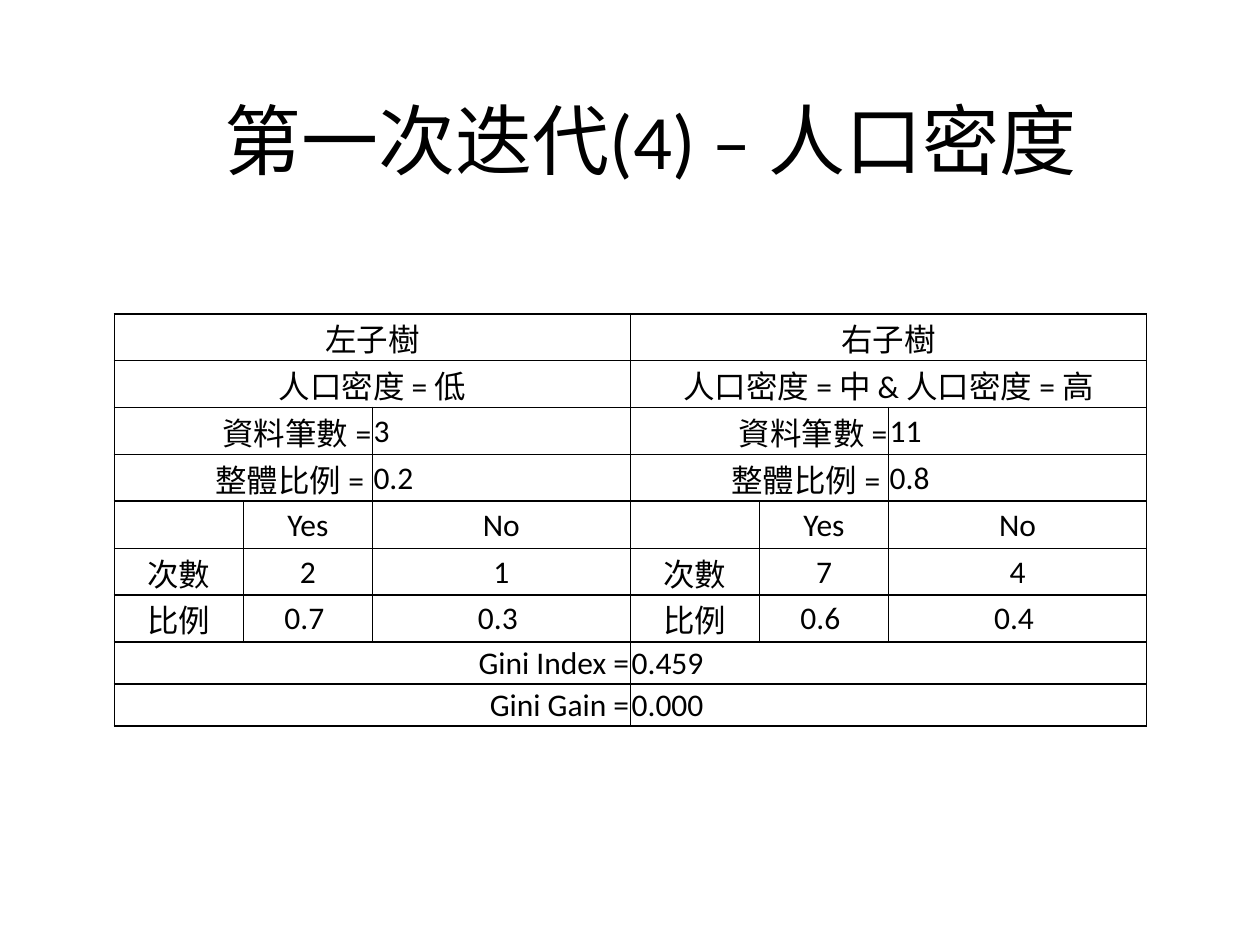
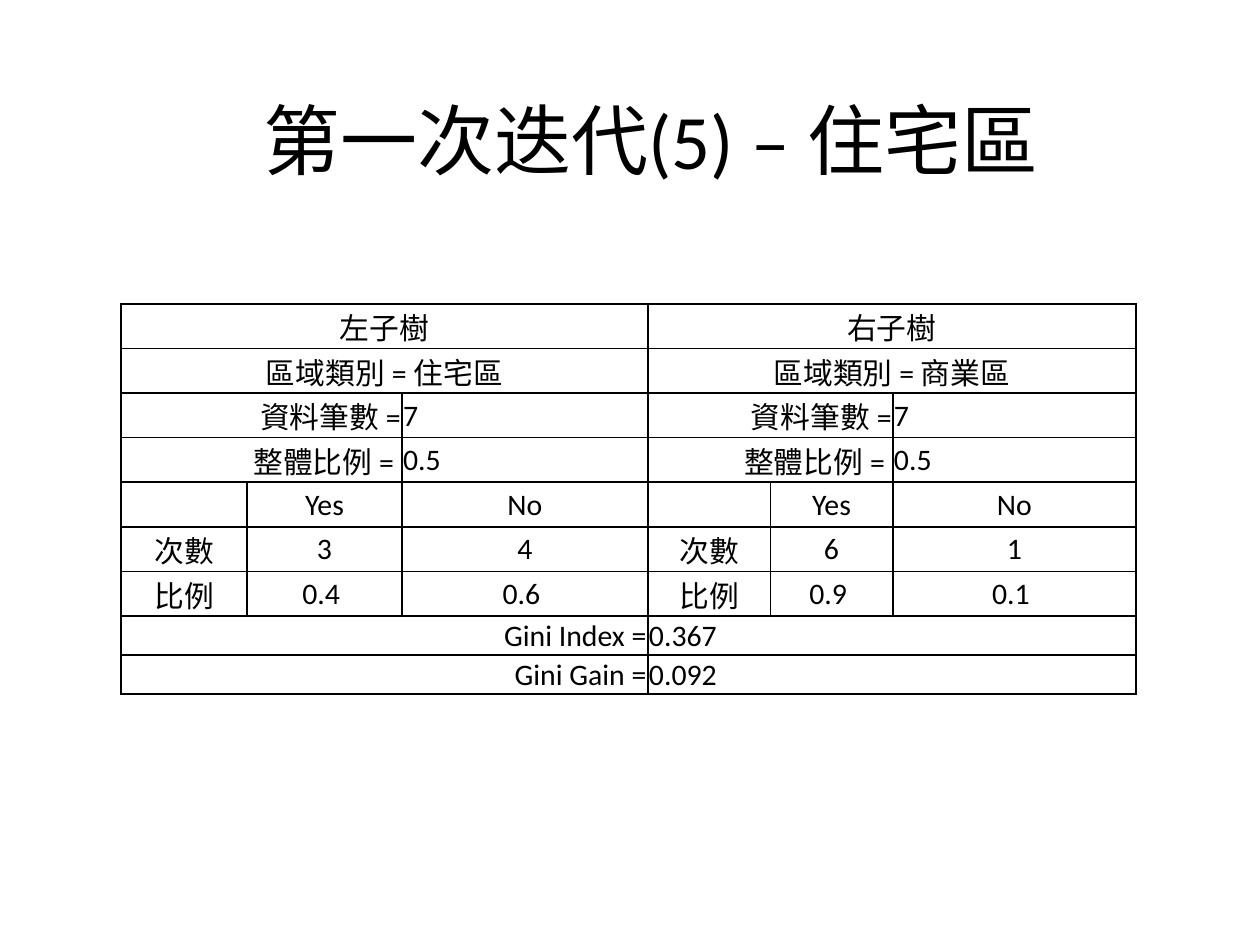
"""Build two slides that tabulate the Gini split of a decision tree."""
from lxml import etree
from pptx import Presentation
from pptx.dml.color import RGBColor
from pptx.enum.text import MSO_ANCHOR, PP_ALIGN
from pptx.oxml.ns import qn
from pptx.util import Pt

LEFT, CENTER, RIGHT = PP_ALIGN.LEFT, PP_ALIGN.CENTER, PP_ALIGN.RIGHT
MIDDLE = MSO_ANCHOR.MIDDLE
BLACK = "000000"
CELL_FORMAT = {"vertical_anchor": MIDDLE, "margin_left": Pt(0.7), "margin_right": Pt(0.7),
               "margin_top": Pt(0.7), "margin_bottom": Pt(0)}


def write(tf, text, size, align):
    """Write one paragraph in the shared font and colour."""
    p = tf.paragraphs[0]
    p.alignment = align
    r = p.add_run()
    r.text = text
    for name, value in {"name": "Calibri", "size": Pt(size)}.items():
        setattr(r.font, name, value)
    r.font.color.rgb = RGBColor.from_string(BLACK)


def add_border(cell, side):
    """Draw a one-point line on one side of a cell."""
    ln = etree.SubElement(cell._tc.get_or_add_tcPr(), qn(f"a:{side}"), w=str(int(Pt(1))))
    fill = etree.SubElement(ln, qn("a:solidFill"))
    etree.SubElement(fill, qn("a:srgbClr"), val=BLACK)


slides = [
    {"title": "第一次迭代(4) – 人口密度", "size": 18, "left": 65.3, "top": 179.3,
     "cols": [73.75, 73.75, 147.5] * 2, "row": 24, "yes_row": 27,
     "halves": [("左子樹", "人口密度 = 低", "3", "0.2", "2", "1", "0.7 ", "0.3 "),
                ("右子樹", "人口密度 = 中 & 人口密度 = 高", "11", "0.8", "7", "4", "0.6 ", "0.4 ")],
     "gini": ("0.459", "0.000")},
    {"title": "第一次迭代(5) – 住宅區", "size": 17, "left": 69.2, "top": 173.7,
     "cols": [72, 88.5, 140.5, 70, 70, 139], "row": 22.3, "yes_row": 25.5,
     "halves": [("左子樹", "區域類別 = 住宅區", "7", "0.5", "3", "4", "0.4 ", "0.6 "),
                ("右子樹", "區域類別 = 商業區", "7", "0.5", "6", "1", "0.9 ", "0.1 ")],
     "gini": ("0.367", "0.092")},
]

prs = Presentation()
prs.slide_width, prs.slide_height = Pt(720), Pt(540)

for data in slides:
    s = prs.slides.add_slide(prs.slide_layouts[5])
    title = s.shapes.title
    for name, value in {"left": 48, "top": 34, "width": 648, "height": 90}.items():
        setattr(title, name, Pt(value))
    title.text_frame.vertical_anchor = MIDDLE
    write(title.text_frame, data["title"], 44, CENTER)

    frame = s.shapes.add_table(9, 6, Pt(data["left"]), Pt(data["top"]),
                               Pt(sum(data["cols"])), Pt(9 * data["row"]))
    tbl = frame.table
    tbl.first_row = tbl.horz_banding = False
    tbl_pr = tbl._tbl.tblPr
    tbl_pr.remove(tbl_pr.find(qn("a:tableStyleId")))
    for col, width in zip(tbl.columns, data["cols"]):
        col.width = Pt(width)
    for i, row in enumerate(tbl.rows):
        row.height = Pt(data["yes_row"] if i == 4 else data["row"])

    entries = []
    for c, half in zip((0, 3), data["halves"]):
        name, rule, count, share, yes, no, yes_share, no_share = half
        entries += [(0, c, 3, name, CENTER), (1, c, 3, rule, CENTER),
                    (2, c, 2, "資料筆數 =", RIGHT), (2, c + 2, 1, count, LEFT),
                    (3, c, 2, "整體比例 = ", RIGHT), (3, c + 2, 1, share, LEFT)]
        grid = [("", "Yes", "No"), ("次數", yes, no), ("比例", yes_share, no_share)]
        entries += [(4 + i, c + j, 1, text, CENTER)
                    for i, line in enumerate(grid) for j, text in enumerate(line) if text]
    for i, (label, value) in enumerate(zip(("Gini Index =", "Gini Gain ="), data["gini"])):
        entries += [(7 + i, 0, 3, label, RIGHT), (7 + i, 3, 3, value, LEFT)]

    for i in range(9):
        for j in range(6):
            cell = tbl.cell(i, j)
            for name, value in CELL_FORMAT.items():
                setattr(cell, name, value)
            sides = {"lnL": j == 0 or (j == 3 and i < 7), "lnR": j == 5 or (j == 2 and i < 7),
                     "lnT": i in (0, 1, 7, 8), "lnB": i in (0, 6, 7, 8)}
            for side, shown in sides.items():
                if shown:
                    add_border(cell, side)
            cell.fill.background()

    for i, j, span, text, align in entries:
        cell = tbl.cell(i, j)
        if span > 1:
            cell.merge(tbl.cell(i, j + span - 1))
        write(cell.text_frame, text, data["size"], align)

prs.save("out.pptx")
